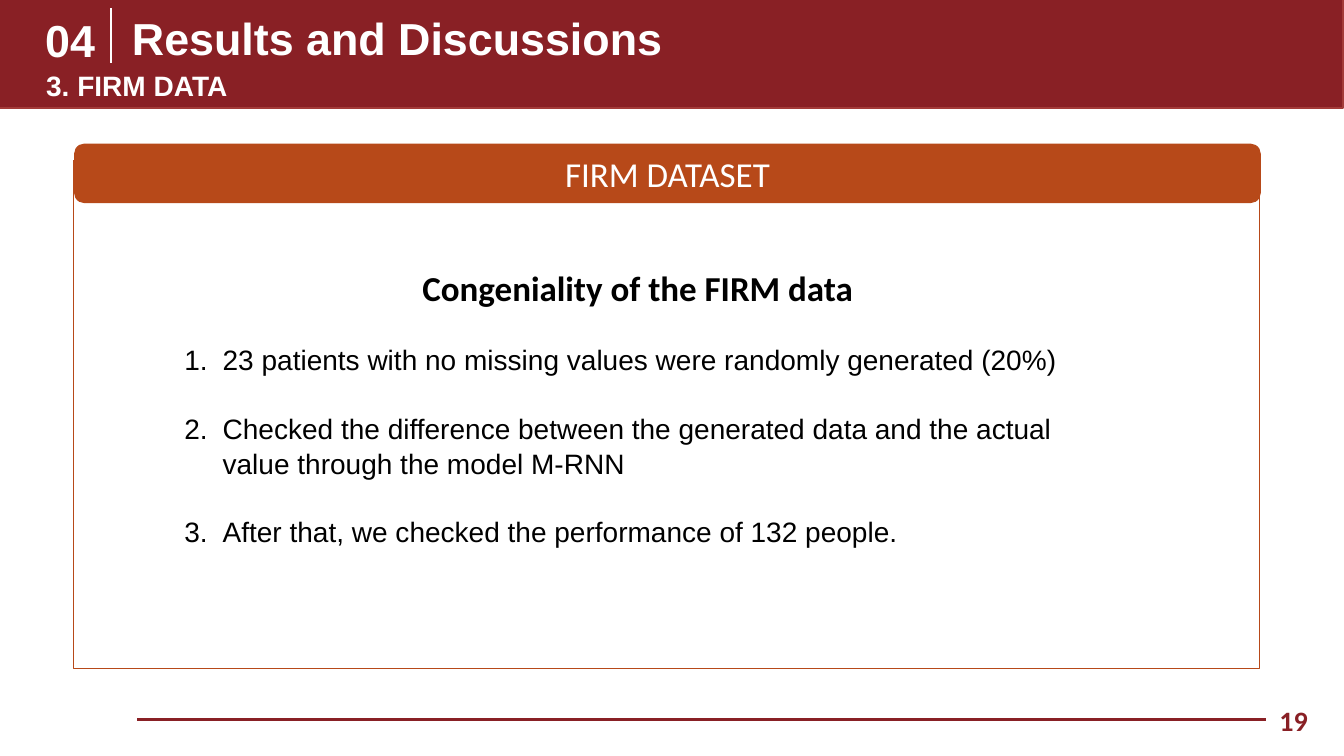
from pptx import Presentation
from pptx.dml.color import RGBColor
from pptx.enum.shapes import MSO_CONNECTOR, MSO_SHAPE
from pptx.enum.text import MSO_ANCHOR, PP_ALIGN
from pptx.util import Inches, Pt
from lxml import etree

RECT, ROUND = MSO_SHAPE.RECTANGLE, MSO_SHAPE.ROUNDED_RECTANGLE
STRAIGHT = MSO_CONNECTOR.STRAIGHT
TOP, MIDDLE = MSO_ANCHOR.TOP, MSO_ANCHOR.MIDDLE
LEFT, CENTER, RIGHT = PP_ALIGN.LEFT, PP_ALIGN.CENTER, PP_ALIGN.RIGHT
NS = "{http://schemas.openxmlformats.org/drawingml/2006/main}"
COLORS = {"maroon": "892025", "edge": "A33B39", "orange": "B74919",
          "white": "FFFFFF", "black": "000000"}


def rgb(name):
    return RGBColor.from_string(COLORS[name])


def write(p, text, size, font, color, bold=True, align=LEFT):
    p.text = text
    p.alignment = align
    p.font.size = Pt(size)
    p.font.name = font
    p.font.bold = bold
    p.font.color.rgb = rgb(color)


prs = Presentation()
prs.slide_width, prs.slide_height = Inches(13.33), Inches(7.5)
s = prs.slides.add_slide(prs.slide_layouts[6])

panels = {}
for name, kind, box, fill, line, width in [
    ("header", RECT, (-0.01, -0.05, 13.33, 1.12), "maroon", "edge", 1),
    ("frame", RECT, (0.73, 1.59, 11.76, 5.04), None, "orange", 0.75),
    ("banner", ROUND, (0.74, 1.43, 11.76, 0.58), "orange", "orange", 0.75),
]:
    sp = s.shapes.add_shape(kind, *[Inches(v) for v in box])
    sp.shadow.inherit = False
    if fill:
        sp.fill.solid()
        sp.fill.fore_color.rgb = rgb(fill)
    else:
        sp.fill.background()
    sp.line.color.rgb = rgb(line)
    sp.line.width = Pt(width)
    panels[name] = sp

tf = panels["banner"].text_frame
tf.vertical_anchor = MIDDLE
write(tf.paragraphs[0], "FIRM DATASET", 25, "Calibri", "white", False, CENTER)

for ends, color, width in [
    ((1.1, 0.08, 1.1, 0.63), "white", 1),
    ((1.36, 7.14, 12.56, 7.14), "maroon", 2.5),
]:
    line = s.shapes.add_connector(STRAIGHT, *[Inches(v) for v in ends])
    line.line.color.rgb = rgb(color)
    line.line.width = Pt(width)
    etree.SubElement(line._element.spPr, NS + "effectLst")

for text, box, size, font, color, align, anchor in [
    ("04", (0.35, 0.08, 0.75, 0.55), 32, "Arial", "white", LEFT, TOP),
    ("Results and Discussions", (1.21, 0.09, 11.11, 0.57), 32, "Arial", "white", LEFT, MIDDLE),
    ("3. FIRM DATA", (0.36, 0.63, 2.74, 0.4), 20, "Arial", "white", LEFT, TOP),
    ("19", (9.42, 6.95, 3.65, 0.4), 20, "Calibri", "maroon", RIGHT, MIDDLE),
    ("Congeniality of the FIRM data", (1.73, 2.59, 9.19, 2.88), 25, "Calibri", "black", CENTER, TOP),
]:
    tf = s.shapes.add_textbox(*[Inches(v) for v in box]).text_frame
    tf.word_wrap = True
    tf.vertical_anchor = anchor
    write(tf.paragraphs[0], text, size, font, color, align=align)

for text in [
    "23 patients with no missing values were randomly generated (20%)",
    "Checked the difference between the generated data and the actual value through the model M-RNN",
    "After that, we checked the performance of 132 people.",
]:
    p = tf.add_paragraph()
    write(p, text, 20, "Arial", "black", False)
    p.space_before = Pt(24)
    p.line_spacing = 1.04
    pPr = p._p.get_or_add_pPr()
    pPr.set("marL", str(Inches(0.38)))
    pPr.set("indent", str(Inches(-0.38)))
    number = etree.Element(NS + "buAutoNum", type="arabicPeriod")
    pPr.find(NS + "defRPr").addprevious(number)

prs.save("out.pptx")
